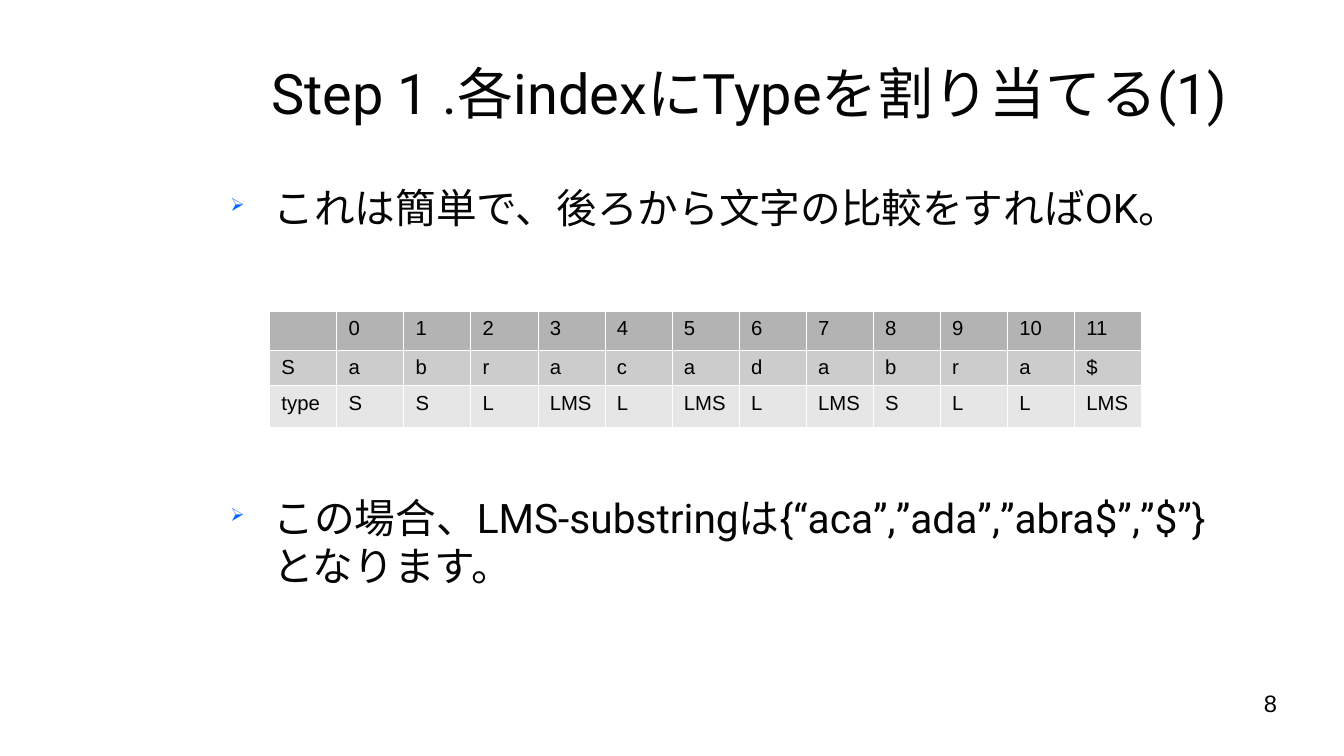
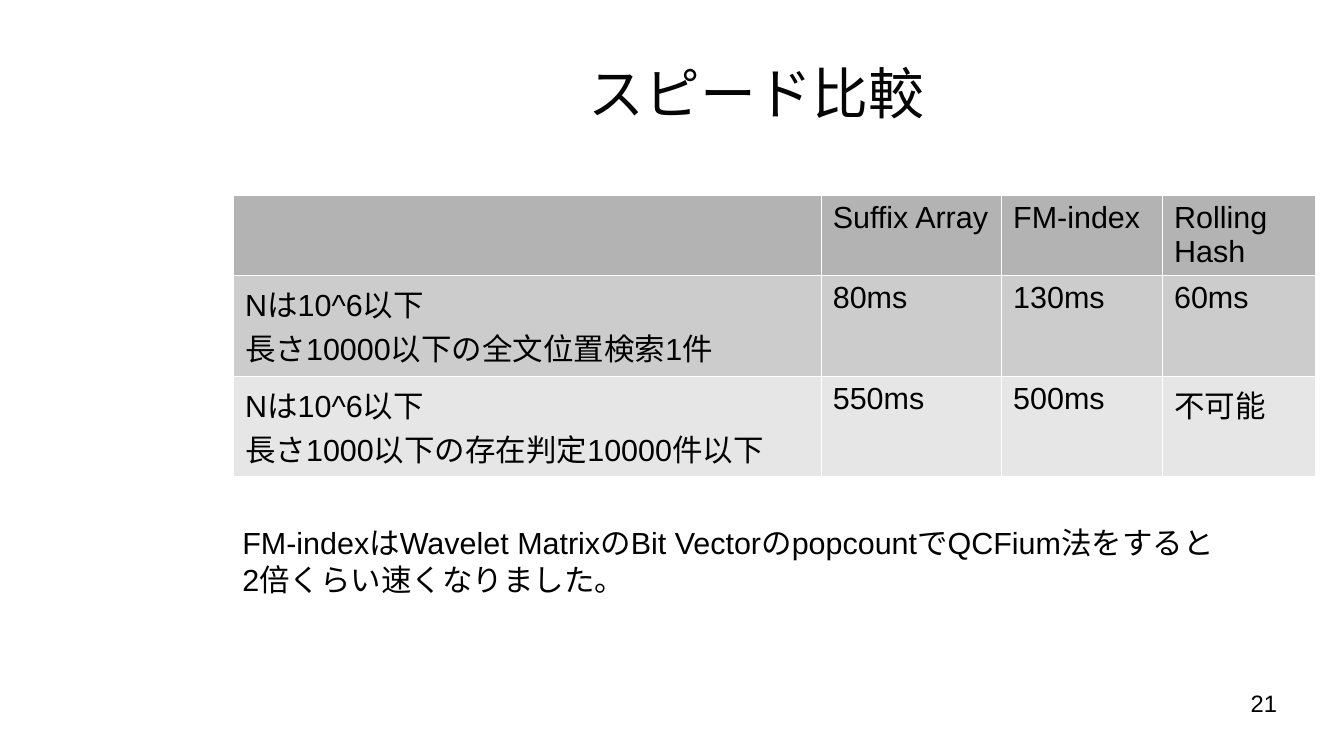
from lxml import etree
from pptx import Presentation, util as u
from pptx.dml.color import RGBColor
from pptx.enum import text
from pptx.oxml import ns

Pt = u.Pt


def rgb(value):
    return RGBColor.from_string(value)


def add_xml(parent, tag, **attrs):
    return etree.SubElement(parent, ns.qn(tag), attrs)


class Deck:
    INK = "050505"
    BLACK = "000000"
    BULLET = "0066FF"
    GRID = "FFFFFF"
    ROW_FILLS = ("B3B3B3", "CCCCCC", "E6E6E6")
    HEAD_FONT = "Roboto"
    BODY_FONT = "Arial"

    def __init__(self, width, height):
        self.prs = Presentation()
        self.prs.slide_width, self.prs.slide_height = Pt(width), Pt(height)
        self.s = None

    def style(self, p, size, font, color, east_asian=None):
        p.font.size = Pt(size)
        p.font.color.rgb = rgb(color)
        p.font.name = font
        if east_asian:
            add_xml(p.font._element, "a:ea", typeface=east_asian)

    def frame(self, sp, inset_x=0, inset_y=0):
        tf = sp.text_frame
        tf.word_wrap = True
        tf.auto_size = text.MSO_AUTO_SIZE.NONE
        tf.margin_left = tf.margin_right = Pt(inset_x)
        tf.margin_top = tf.margin_bottom = Pt(inset_y)
        return tf

    def box(self, left, top, width, height, *insets):
        sp = self.s.shapes.add_textbox(Pt(left), Pt(top), Pt(width), Pt(height))
        return self.frame(sp, *insets)

    def slide(self, title, number):
        """Start a slide with its title and its page number."""
        self.s = self.prs.slides.add_slide(self.prs.slide_layouts[5])
        sp = self.s.shapes.title
        sp.left, sp.top, sp.width, sp.height = Pt(127.5), Pt(17.5), Pt(638), Pt(73.5)
        tf = self.frame(sp)
        tf.vertical_anchor = text.MSO_ANCHOR.MIDDLE
        p = tf.paragraphs[0]
        p.text = title
        p.alignment = text.PP_ALIGN.CENTER
        self.style(p, 33, self.HEAD_FONT, self.INK, self.HEAD_FONT)

        p = self.box(569, 407, 185, 31).paragraphs[0]
        p.text = str(number)
        p.alignment = text.PP_ALIGN.RIGHT
        self.style(p, 14, self.BODY_FONT, self.BLACK)

    def bullets(self, items, gap):
        """Bulleted paragraphs, with a gap in points between them."""
        tf = self.box(127.5, 108, 638, 259)
        for i, item in enumerate(items):
            p = tf.add_paragraph() if i else tf.paragraphs[0]
            p.text = item
            pPr = p._p.get_or_add_pPr()
            pPr.set("marL", str(Pt(34)))
            pPr.set("indent", str(-Pt(25.5)))
            add_xml(add_xml(pPr, "a:buClr"), "a:srgbClr", val=self.BULLET)
            add_xml(pPr, "a:buSzPct", val="45000")
            add_xml(pPr, "a:buChar", char="➢")
            p.space_before = Pt(gap if i else 0)
            self.style(p, 24, self.HEAD_FONT, self.INK, self.HEAD_FONT)

    def note(self, left, top, width, height, content):
        tf = self.box(left, top, width, height, 7.2, 3.6)
        tf.word_wrap = False
        p = tf.paragraphs[0]
        p.text = content
        self.style(p, 18, self.BODY_FONT, self.BLACK, self.BODY_FONT)

    def cell(self, cell, content, size, fill):
        tcPr = cell._tc.get_or_add_tcPr()
        for side in "LRTB":
            line = add_xml(tcPr, f"a:ln{side}", w="720")
            add_xml(add_xml(line, "a:solidFill"), "a:srgbClr", val=self.GRID)
        cell.fill.solid()
        cell.fill.fore_color.rgb = rgb(fill)
        p = cell.text_frame.paragraphs[0]
        p.text = content
        self.style(p, size, self.BODY_FONT, self.BLACK)

    def table(self, left, top, col_widths, row_heights, rows, size):
        table = self.s.shapes.add_table(
            len(rows), len(col_widths), Pt(left), Pt(top),
            Pt(sum(col_widths)), Pt(sum(row_heights))).table
        table.first_row = table.horz_banding = False
        for col, width in zip(table.columns, col_widths):
            col.width = Pt(width)
        for row, height, values, fill in zip(table.rows, row_heights, rows, self.ROW_FILLS):
            row.height = Pt(height)
            for cell, value in zip(row.cells, values):
                self.cell(cell, value, size, fill)


def main():
    deck = Deck(793.5, 446.5)

    deck.slide("Step 1 .各indexにTypeを割り当てる(1) ", 8)
    deck.bullets(["これは簡単で、後ろから文字の比較をすればOK。",
                  "この場合、LMS-substringは{“aca”,”ada”,”abra$”,”$”}\nとなります。"], gap=154)
    word = "abracadabra$"
    types = "S S L LMS L LMS L LMS S L L LMS".split()
    deck.table(159, 183.75, [39.6] * 13, [23, 21, 24.5],
               [["", *map(str, range(len(word)))], ["S", *word], ["type", *types]], 12)

    deck.slide("スピード比較", 21)
    deck.table(137.5, 115, [347, 106.5, 95, 90.5], [47.5, 59, 59], [
        ["", "Suffix Array", "FM-index", "Rolling Hash"],
        ["Nは10^6以下\n長さ10000以下の全文位置検索1件", "80ms", "130ms", "60ms"],
        ["Nは10^6以下\n長さ1000以下の存在判定10000件以下", "550ms", "500ms", "不可能"],
    ], 18)
    deck.note(136, 306, 628.5, 59,
              "FM-indexはWavelet MatrixのBit VectorのpopcountでQCFium法をすると\n"
              "2倍くらい速くなりました。")

    deck.prs.save("out.pptx")


if __name__ == "__main__":
    main()
